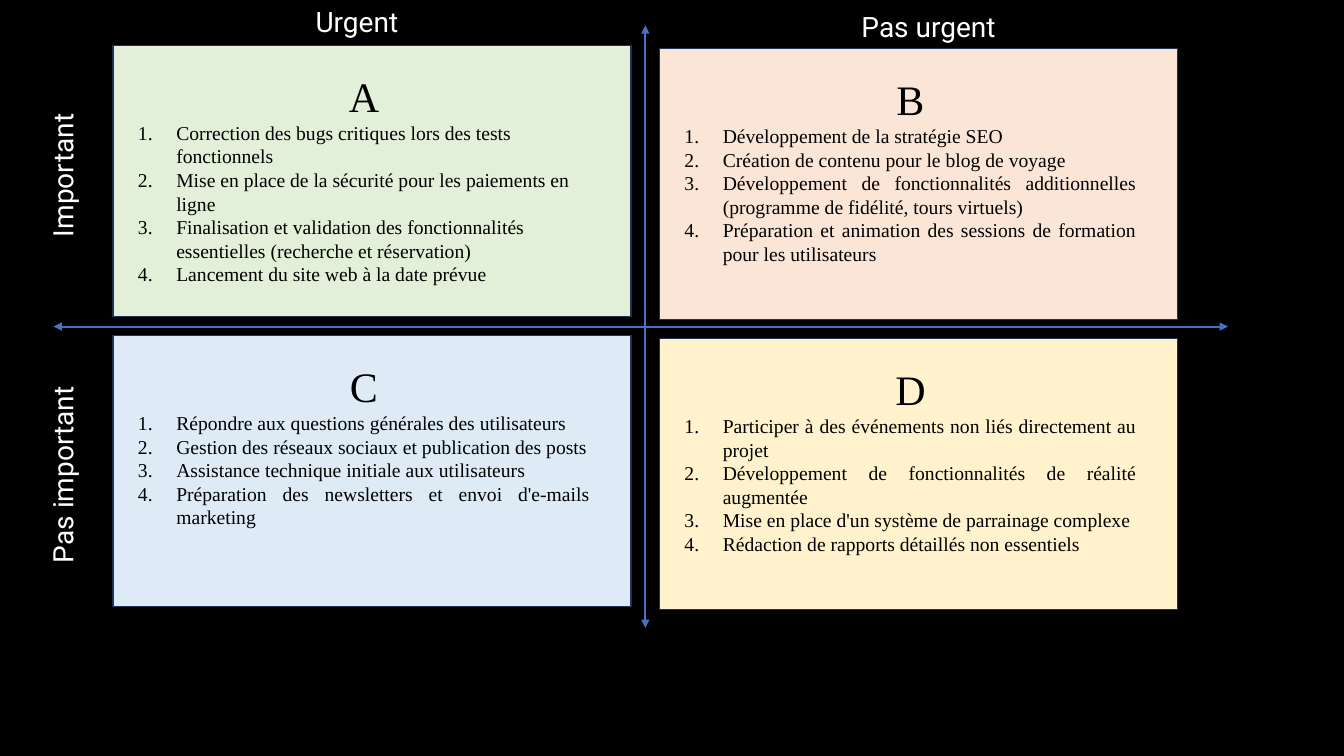
import pptx
import pptx.dml.color
import pptx.enum.shapes
import pptx.enum.text
import pptx.util
from dataclasses import dataclass
from lxml import etree
from pptx.oxml.ns import qn


@dataclass(frozen=True)
class Theme:
    backdrop: str = "000000"
    label: str = "FFFFFF"
    ink: str = "000000"
    border: str = "1E3256"
    axis: str = "4472C4"
    label_font: str = "Roboto"
    body_font: str = "Times New Roman"
    label_size: int = 20
    letter_size: int = 30
    task_size: int = 14


theme = Theme()
inches = pptx.util.Inches
rgb = pptx.dml.color.RGBColor.from_string
align = pptx.enum.text.PP_ALIGN
RECTANGLE = pptx.enum.shapes.MSO_SHAPE.RECTANGLE


def add_panel(shapes, box, fill, border):
    panel = shapes.add_shape(RECTANGLE, *map(inches, box))
    panel.shadow.inherit = False
    panel.fill.solid()
    panel.fill.fore_color.rgb = rgb(fill)
    panel.line.color.rgb = rgb(border)
    panel.line.width = pptx.util.Pt(1)


def add_text(paragraph, text, font, size, color, alignment):
    paragraph.alignment = alignment
    run = paragraph.add_run()
    run.text = text
    run.font.name = font
    run.font.size = pptx.util.Pt(size)
    run.font.color.rgb = rgb(color)


deck = pptx.Presentation()
slide_width, slide_height = 13.33, 7.5
deck.slide_width, deck.slide_height = inches(slide_width), inches(slide_height)
slide = deck.slides.add_slide(deck.slide_layouts[6])
add_panel(slide.shapes, (0, 0, slide_width, slide_height), theme.backdrop, theme.backdrop)

# Grid of the matrix: the right column sits slightly lower than the left one
left, top = 1.12, 0.45
column_step, row_step = 5.42, 2.88
panel_width, panel_height = 5.14, 2.69
right_drop = 0.03
inset_x, inset_y = 0.15, 0.2
tasks_width = 4.68

# Axes
axis_x, axis_y = 6.4, 3.24
for ends in ((axis_x, 0.25, axis_x, 6.23), (0.53, axis_y, 12.18, axis_y)):
    axis = slide.shapes.add_connector(
        pptx.enum.shapes.MSO_CONNECTOR.STRAIGHT, *map(inches, ends))
    axis.line.color.rgb = rgb(theme.axis)
    axis.line.width = pptx.util.Pt(1.5)
    outline = axis.line._get_or_add_ln()
    for arrowhead in ("a:headEnd", "a:tailEnd"):
        etree.SubElement(outline, qn(arrowhead), type="triangle")
    etree.SubElement(axis._element.spPr, qn("a:effectLst"))

# Axis labels
labels = [
    ("Important", (0.4, 0.78, 0.54, 1.92), "vert270"),
    ("Pas important", (0.4, 3.45, 0.54, 2.52), "vert270"),
    ("Urgent", (1.38, 0, 4.32, 0.44), "horz"),
    ("Pas urgent", (7.05, 0.05, 4.32, 0.44), "horz"),
]
for wording, box, direction in labels:
    label = slide.shapes.add_textbox(*map(inches, box)).text_frame
    label.word_wrap = True
    label._txBody.bodyPr.set("vert", direction)
    add_text(label.paragraphs[0], wording, theme.label_font, theme.label_size,
             theme.label, align.CENTER)

# Quadrants: letter, column, row, colour, height of the list, alignment, tasks
quadrants = [
    ("A", 0, 0, "E2F0D9", 2.26, align.LEFT, [
        "Correction des bugs critiques lors des tests fonctionnels",
        "Mise en place de la sécurité pour les paiements en ligne",
        "Finalisation et validation des fonctionnalités essentielles (recherche et réservation)",
        "Lancement du site web à la date prévue"]),
    ("C", 0, 1, "DEEBF7", 2.02, align.JUSTIFY, [
        "Répondre aux questions générales des utilisateurs",
        "Gestion des réseaux sociaux et publication des posts",
        "Assistance technique initiale aux utilisateurs",
        "Préparation des newsletters et envoi d'e-mails marketing"]),
    ("B", 1, 0, "FBE5D6", 2.02, align.JUSTIFY, [
        "Développement de la stratégie SEO",
        "Création de contenu pour le blog de voyage",
        "Développement de fonctionnalités additionnelles (programme de fidélité, tours virtuels)",
        "Préparation et animation des sessions de formation pour les utilisateurs"]),
    ("D", 1, 1, "FFF2CC", 2.02, align.JUSTIFY, [
        "Participer à des événements non liés directement au projet",
        "Développement de fonctionnalités de réalité augmentée",
        "Mise en place d'un système de parrainage complexe",
        "Rédaction de rapports détaillés non essentiels"]),
]
for letter, column, row, color, tasks_height, alignment, tasks in quadrants:
    x = left + column * column_step
    y = top + row * row_step + column * right_drop
    quadrant = slide.shapes.add_group_shape().shapes
    add_panel(quadrant, (x, y, panel_width, panel_height), color, theme.border)
    content = quadrant.add_textbox(
        *map(inches, (x + inset_x, y + inset_y, tasks_width, tasks_height))).text_frame
    content.word_wrap = True
    add_text(content.paragraphs[0], letter, theme.body_font, theme.letter_size,
             theme.ink, align.CENTER)
    for task in tasks:
        item = content.add_paragraph()
        add_text(item, task, theme.body_font, theme.task_size, theme.ink, alignment)
        properties = item._p.get_or_add_pPr()
        properties.set("marL", str(inches(0.38)))
        properties.set("indent", str(-inches(0.38)))
        etree.SubElement(properties, qn("a:buFont"), typeface=theme.body_font)
        etree.SubElement(properties, qn("a:buAutoNum"), type="arabicPeriod")

deck.save("out.pptx")
